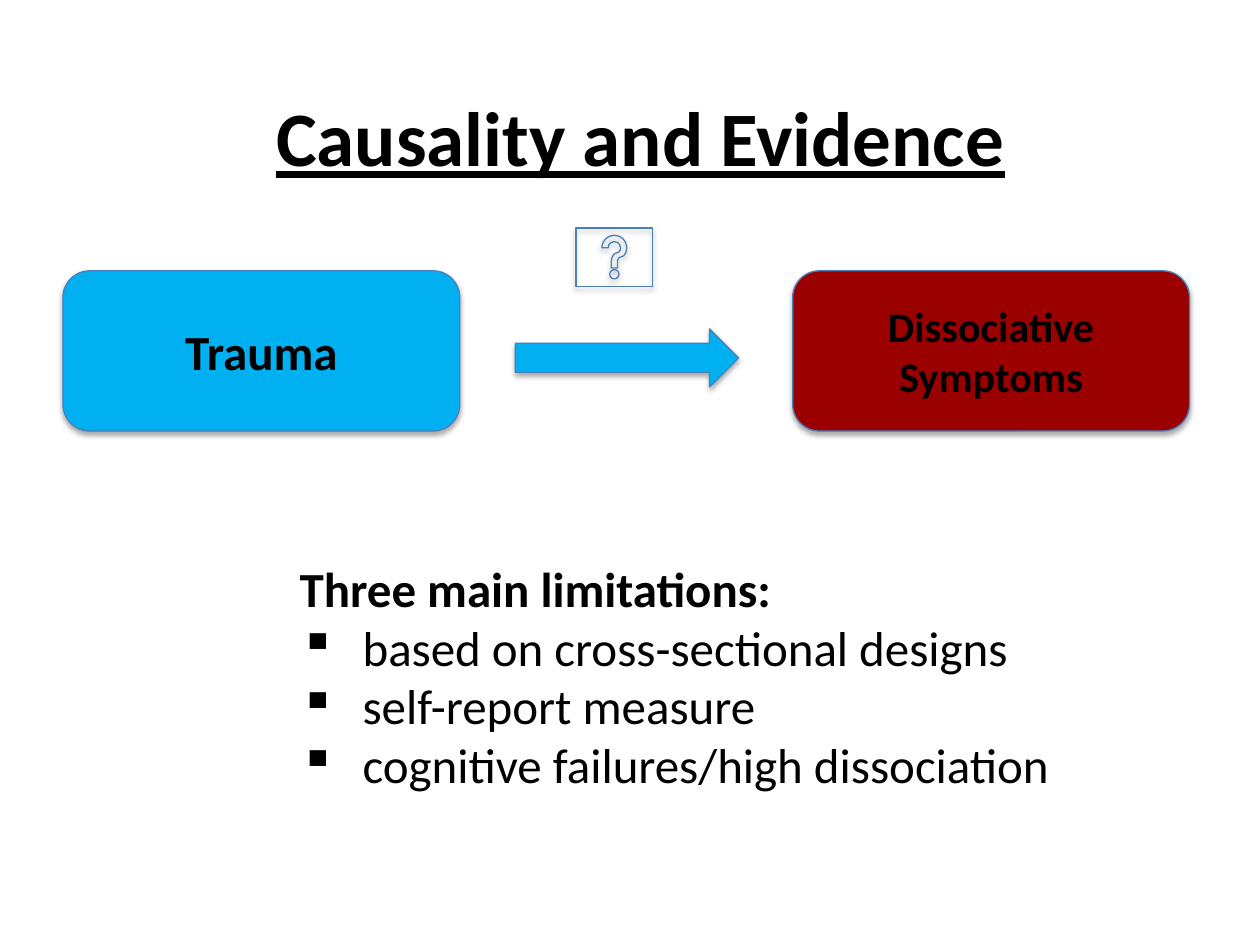
from lxml import etree
from pptx import Presentation, util as u
from pptx.dml.color import RGBColor
from pptx.enum import shapes, text
from pptx.oxml.ns import qn

BLUE, RED, BLACK, OUTLINE = "00B0F0", "9A0000", "000000", "4B7EBC"
SHAPE = shapes.MSO_SHAPE
CENTER = text.PP_ALIGN.CENTER


def rgb(value):
    return RGBColor.from_string(value)


class SlideBuilder:
    font = "Calibri"

    def __init__(self, s):
        self.s = s

    def style(self, p, size, bold=False, underline=False, align=None):
        p.alignment = align
        for r in p.runs:
            f = r.font
            f.name, f.size, f.bold = self.font, u.Pt(size), bold
            f.underline = underline or None
            f.color.rgb = rgb(BLACK)

    def text_box(self, x, y, w, h):
        tf = self.s.shapes.add_textbox(u.Cm(x), u.Cm(y), u.Cm(w), u.Cm(h)).text_frame
        tf.word_wrap = True
        return tf

    def title(self, x, y, w, h, words):
        tf = self.text_box(x, y, w, h)
        tf.vertical_anchor = text.MSO_ANCHOR.MIDDLE
        tf.text = words
        self.style(tf.paragraphs[0], 44, True, True, CENTER)

    def bullet_list(self, x, y, w, h, heading, items, size=28):
        tf = self.text_box(x, y, w, h)
        tf.text = "\n".join([heading, *items])
        for i, p in enumerate(tf.paragraphs):
            self.style(p, size, bold=i == 0)
            if i:
                self.bullet(p)

    def bullet(self, p, indent=1.27):
        pPr = p._p.get_or_add_pPr()
        pPr.set("marL", str(u.Cm(indent)))
        pPr.set("indent", str(-u.Cm(indent)))
        etree.SubElement(pPr, qn("a:buChar"), char="▪")

    def shape(self, kind, x, y, w, h, fill=None, words="", size=28):
        sp = self.s.shapes.add_shape(kind, u.Cm(x), u.Cm(y), u.Cm(w), u.Cm(h))
        if fill:
            sp.fill.solid()
            sp.fill.fore_color.rgb = rgb(fill)
        else:
            sp.fill.background()
        sp.line.color.rgb = rgb(OUTLINE)
        sp.line.width = u.Pt(0.75)
        self.soft_shadow(sp)
        if words:
            sp.text_frame.text = words
            self.style(sp.text_frame.paragraphs[0], size, True, align=CENTER)

    def soft_shadow(self, sp):
        """Replace the theme shadow by a faint one straight below the shape."""
        sp.shadow.inherit = False
        effects = sp._element.spPr.find(qn("a:effectLst"))
        shadow = etree.SubElement(
            effects, qn("a:outerShdw"), blurRad=str(u.Pt(3.1)),
            dist=str(u.Pt(1.8)), dir="5400000", rotWithShape="0")
        color = etree.SubElement(shadow, qn("a:srgbClr"), val=BLACK)
        etree.SubElement(color, qn("a:alpha"), val="35000")


def main():
    prs = Presentation()
    prs.slide_width, prs.slide_height = u.Cm(25.4), u.Cm(19.05)
    b = SlideBuilder(prs.slides.add_slide(prs.slide_layouts[6]))

    b.title(1.07, 1.37, 23.7, 2.74, "Causality and Evidence")
    b.bullet_list(5.79, 11.13, 18.16, 5.05, "Three main limitations:", [
        "based on cross-sectional designs",
        "self-report measure",
        "cognitive failures/high dissociation",
    ])
    for x, fill, words, size in [
        (1.27, BLUE, "Trauma", 28),
        (15.98, RED, "Dissociative Symptoms", 24),
    ]:
        b.shape(SHAPE.ROUNDED_RECTANGLE, x, 5.46, 8, 3.23, fill, words, size)
    b.shape(SHAPE.RIGHT_ARROW, 10.39, 6.63, 4.5, 1.17, BLUE)
    b.shape(SHAPE.ACTION_BUTTON_HELP, 11.61, 4.6, 1.55, 1.17)

    prs.save("out.pptx")


if __name__ == "__main__":
    main()
